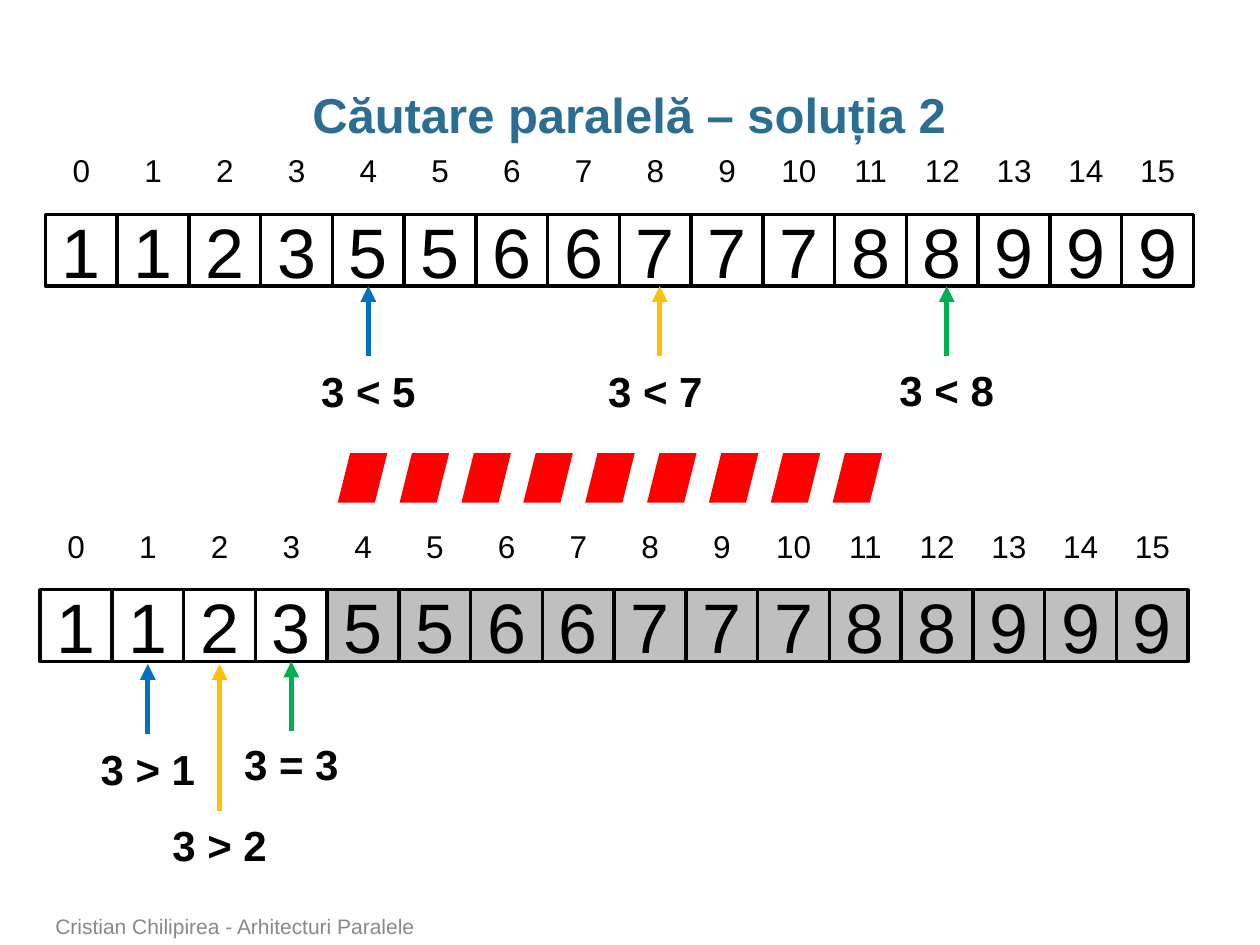
from lxml import etree
from pptx import Presentation
from pptx.dml.color import RGBColor
from pptx.enum.shapes import MSO_CONNECTOR, MSO_SHAPE
from pptx.enum.text import MSO_ANCHOR, MSO_AUTO_SIZE, PP_ALIGN
from pptx.oxml.ns import qn
from pptx.util import Pt

RECTANGLE, PARALLELOGRAM = MSO_SHAPE.RECTANGLE, MSO_SHAPE.PARALLELOGRAM
STRAIGHT = MSO_CONNECTOR.STRAIGHT
TOP, MIDDLE, BOTTOM = MSO_ANCHOR.TOP, MSO_ANCHOR.MIDDLE, MSO_ANCHOR.BOTTOM
LEFT, CENTER = PP_ALIGN.LEFT, PP_ALIGN.CENTER
NO_AUTOFIT = MSO_AUTO_SIZE.NONE

BLACK = RGBColor(0x00, 0x00, 0x00)
TITLE_BLUE = RGBColor(0x2C, 0x6D, 0x92)
GREY = RGBColor(0xBF, 0xBF, 0xBF)
FOOTER_GREY = RGBColor(0x89, 0x89, 0x89)
RED = RGBColor(0xFF, 0x00, 0x00)
BLUE = RGBColor(0x00, 0x70, 0xC0)
AMBER = RGBColor(0xFF, 0xC0, 0x00)
GREEN = RGBColor(0x00, 0xB0, 0x50)

CELL = 41
VALUES = [1, 1, 2, 3, 5, 5, 6, 6, 7, 7, 7, 8, 8, 9, 9, 9]


def write(shape, text, size, color=BLACK, bold=False, align=CENTER, anchor=MIDDLE):
    frame = shape.text_frame
    frame.text = text
    frame.vertical_anchor = anchor
    para = frame.paragraphs[0]
    para.alignment = align
    font = para.runs[0].font
    font.name = "Arial"
    font.size = Pt(size)
    font.bold = bold
    font.color.rgb = color


def add_label(left, top, width, height, text, size, **style):
    box = slide.shapes.add_textbox(Pt(left), Pt(top), Pt(width), Pt(height))
    box.text_frame.word_wrap = style.pop("wrap", False)
    write(box, text, size, **style)


deck = Presentation()
deck.slide_width, deck.slide_height = Pt(720), Pt(540)
slide = deck.slides.add_slide(deck.slide_layouts[5])

# Title
title = slide.shapes.title
title.left, title.top, title.width, title.height = Pt(24.5), Pt(49), Pt(670), Pt(36)
write(title, "Căutare paralelă – soluția 2", 28, TITLE_BLUE, bold=True)
title.text_frame.auto_size = NO_AUTOFIT
title.text_frame.margin_left = title.text_frame.margin_right = 0
title.text_frame.paragraphs[0].line_spacing = 0.95

# Array before and after the first step: left, top, first discarded index
for left, top, discarded_from in [(26, 122.5, len(VALUES)), (23, 337, 4)]:
    for index, value in enumerate(VALUES):
        x = left + index * CELL
        cell = slide.shapes.add_shape(RECTANGLE, Pt(x), Pt(top), Pt(CELL), Pt(CELL))
        cell.shadow.inherit = False
        if index >= discarded_from:
            cell.fill.solid()
            cell.fill.fore_color.rgb = GREY
        else:
            cell.fill.background()
        cell.line.color.rgb = BLACK
        cell.line.width = Pt(2)
        write(cell, str(value), 40)
        add_label(x, top - 39.5, CELL, 29, str(index), 18, anchor=TOP)

# Comparisons: arrow x, arrow tip, arrow start, label centre, label top
comparisons = [
    ("3 < 5", BLUE, 210.5, 163.5, 203.5, 210.5, 205.5),
    ("3 < 7", AMBER, 377, 163.5, 203.5, 374.5, 205.5),
    ("3 < 8", GREEN, 541, 163.5, 203.5, 541, 205),
    ("3 > 1", BLUE, 84.5, 379.5, 419.5, 84.5, 421.5),
    ("3 > 2", AMBER, 125.5, 379.5, 463.5, 125.5, 464.5),
    ("3 = 3", GREEN, 166.5, 378, 417.5, 166.5, 418.5),
]
for text, color, x, tip, start, center, label_top in comparisons:
    arrow = slide.shapes.add_connector(STRAIGHT, Pt(x), Pt(start), Pt(x), Pt(tip))
    arrow.line.color.rgb = color
    arrow.line.width = Pt(3)
    etree.SubElement(arrow.line._get_or_add_ln(), qn("a:tailEnd"), type="triangle")
    etree.SubElement(arrow._element.spPr, qn("a:effectLst"))
    add_label(center - 34.5, label_top, 69, 36, text, 24, bold=True, anchor=TOP)

# Red separator
for index in range(9):
    x = 193 + index * 35.35
    dash = slide.shapes.add_shape(PARALLELOGRAM, Pt(x), Pt(259), Pt(28.3), Pt(28.3))
    dash.shadow.inherit = False
    dash.fill.solid()
    dash.fill.fore_color.rgb = RED
    dash.line.fill.background()

# Footer
add_label(24.5, 520, 530.5, 20, "Cristian Chilipirea - Arhitecturi Paralele", 12,
          color=FOOTER_GREY, align=LEFT, anchor=BOTTOM, wrap=True)

deck.save("out.pptx")
